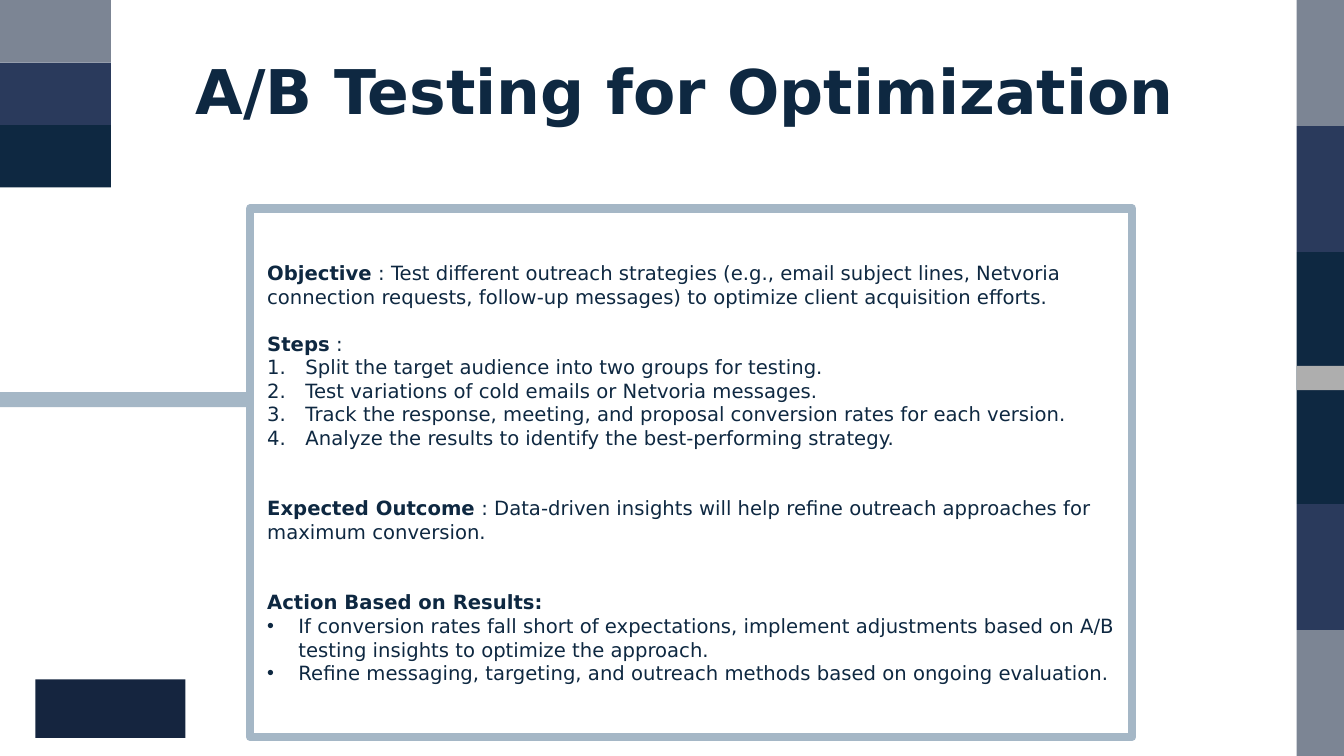
from dataclasses import dataclass

from lxml import etree
from pptx import Presentation
from pptx import util as u
from pptx.dml.color import RGBColor
from pptx.enum import shapes, text
from pptx.oxml.ns import qn


@dataclass(frozen=True)
class Theme:
    font: str = "DejaVu Sans"
    navy: str = "0E2841"
    indigo: str = "2A3A5C"
    slate: str = "7C8594"
    midnight: str = "15253F"
    steel: str = "A5B7C6"
    silver: str = "AEAEAE"
    title_size: int = 44
    body_size: int = 14
    border: int = 6
    gap: float = 16.8


def write(paragraph, content, *, theme, size, bold=False):
    run = paragraph.add_run()
    run.text = content
    run.font.name = theme.font
    run.font.size = u.Pt(size)
    run.font.bold = bold
    run.font.color.rgb = RGBColor.from_string(theme.navy)


class SlideBuilder:
    def __init__(self, slide, theme):
        self.slide = slide
        self.theme = theme

    def title(self, content, left, top, width, height):
        heading = self.slide.shapes.title
        heading.left, heading.top = u.Inches(left), u.Inches(top)
        heading.width, heading.height = u.Inches(width), u.Inches(height)
        frame = heading.text_frame
        frame.auto_size = text.MSO_AUTO_SIZE.NONE
        frame.vertical_anchor = text.MSO_ANCHOR.TOP
        paragraph = frame.paragraphs[0]
        paragraph.alignment = text.PP_ALIGN.LEFT
        write(paragraph, content, theme=self.theme, size=self.theme.title_size, bold=True)

    def block(self, left, top, width, height, fill=None, border=None):
        block = self.slide.shapes.add_shape(
            shapes.MSO_SHAPE.RECTANGLE,
            u.Inches(left), u.Inches(top), u.Inches(width), u.Inches(height))
        block.shadow.inherit = False
        if fill:
            block.fill.solid()
            block.fill.fore_color.rgb = RGBColor.from_string(fill)
        else:
            block.fill.background()
        if border:
            block.line.color.rgb = RGBColor.from_string(border)
            block.line.width = u.Pt(self.theme.border)
        else:
            block.line.fill.background()
        return block

    def stack(self, left, top, width, height, fills):
        for row, fill in enumerate(fills):
            self.block(left, top + row * height, width, height, fill)

    def panel(self, left, top, width, height, entries):
        frame = self.block(left, top, width, height, border=self.theme.steel).text_frame
        frame.word_wrap = True
        frame.margin_left = u.Inches(0.17)
        frame.vertical_anchor = text.MSO_ANCHOR.MIDDLE
        for index, (lead, detail, marker, gaps) in enumerate(entries):
            paragraph = frame.add_paragraph() if index else frame.paragraphs[0]
            paragraph.alignment = text.PP_ALIGN.LEFT
            paragraph.space_before = u.Pt(gaps * self.theme.gap)
            if marker:
                self.mark(paragraph, marker)
            for content, bold in ((lead, True), (detail, False)):
                if content:
                    write(paragraph, content, theme=self.theme,
                          size=self.theme.body_size, bold=bold)

    def mark(self, paragraph, marker):
        numbered = marker == "1."
        indent = u.Inches(0.38 if numbered else 0.31)
        properties = paragraph._p.get_or_add_pPr()
        properties.set("marL", str(indent))
        properties.set("indent", str(-indent))
        color = etree.SubElement(properties, qn("a:buClr"))
        etree.SubElement(color, qn("a:srgbClr"), val=self.theme.navy)
        if numbered:
            etree.SubElement(properties, qn("a:buAutoNum"), type="arabicPeriod")
        else:
            etree.SubElement(properties, qn("a:buFont"), typeface="Arial")
            etree.SubElement(properties, qn("a:buChar"), char=marker)


ENTRIES = [
    ("Objective", " : Test different outreach strategies (e.g., email subject lines, Netvoria "
     "connection requests, follow-up messages) to optimize client acquisition efforts.", None, 0),
    ("Steps", " :", None, 1),
    ("", "Split the target audience into two groups for testing.", "1.", 0),
    ("", "Test variations of cold emails or Netvoria messages.", "1.", 0),
    ("", "Track the response, meeting, and proposal conversion rates for each version.", "1.", 0),
    ("", "Analyze the results to identify the best-performing strategy.", "1.", 0),
    ("Expected Outcome", " : Data-driven insights will help refine outreach approaches for "
     "maximum conversion.", None, 2),
    ("Action Based on Results:", "", None, 2),
    ("", "If conversion rates fall short of expectations, implement adjustments based on A/B "
     "testing insights to optimize the approach.", "•", 0),
    ("", "Refine messaging, targeting, and outreach methods based on ongoing evaluation.", "•", 0),
]


def main():
    deck = Presentation()
    deck.slide_width, deck.slide_height = u.Inches(13.33), u.Inches(7.5)
    theme = Theme()
    builder = SlideBuilder(deck.slides.add_slide(deck.slide_layouts[5]), theme)
    bands = [theme.slate, theme.indigo, theme.navy]

    builder.stack(0, 0, 1.1, 0.62, bands)
    builder.title("A/B Testing for Optimization", 1.84, 0.47, 10.21, 0.84)
    builder.panel(2.48, 2.07, 8.75, 5.24, ENTRIES)
    builder.block(0.35, 6.74, 1.49, 0.58, theme.midnight)
    builder.stack(12.86, 0, 0.47, 1.25, bands + bands[::-1])
    builder.block(12.86, 3.63, 0.47, 0.24, theme.silver)
    builder.block(0, 3.89, 2.47, 0.15, theme.steel)
    deck.save("out.pptx")


if __name__ == "__main__":
    main()
